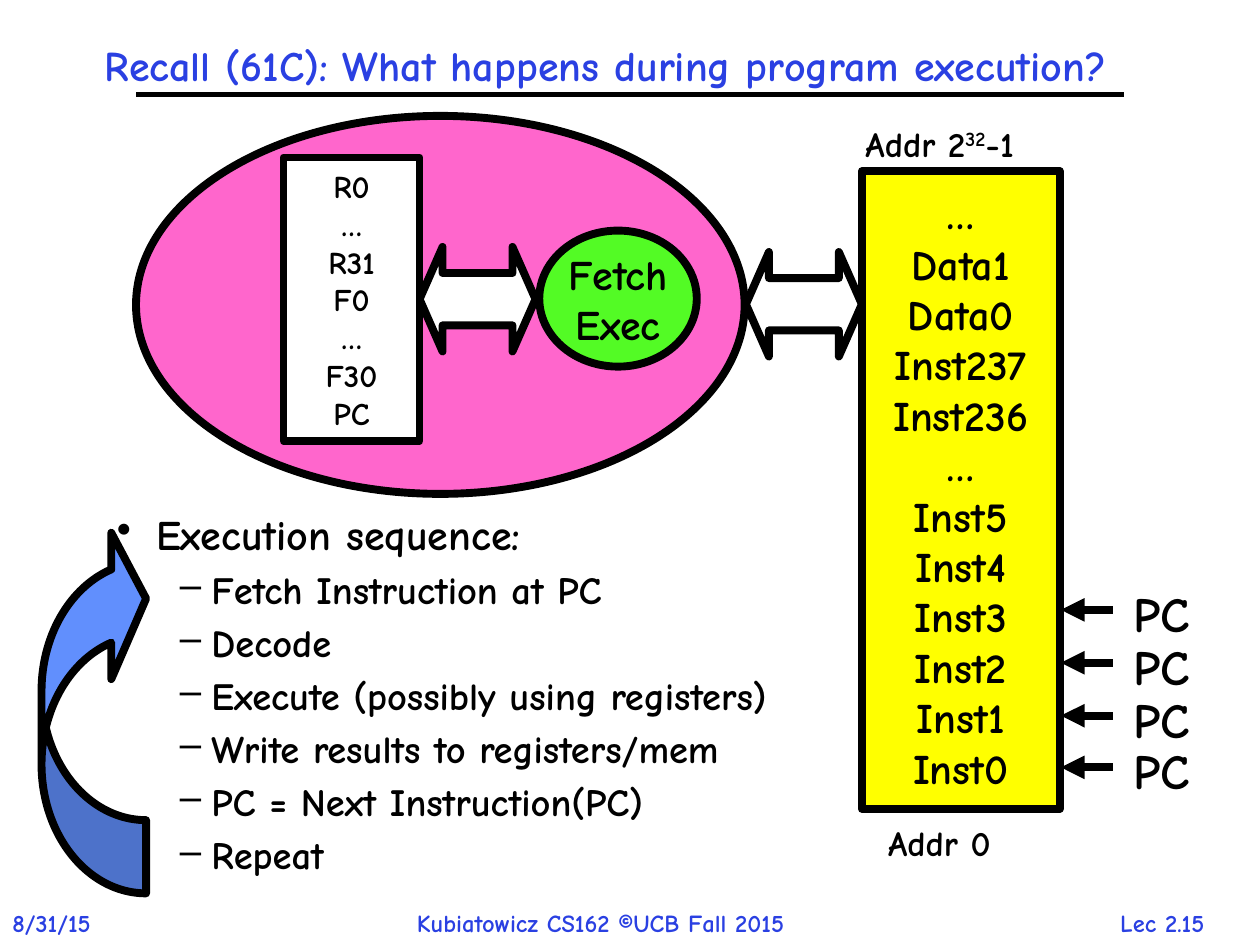
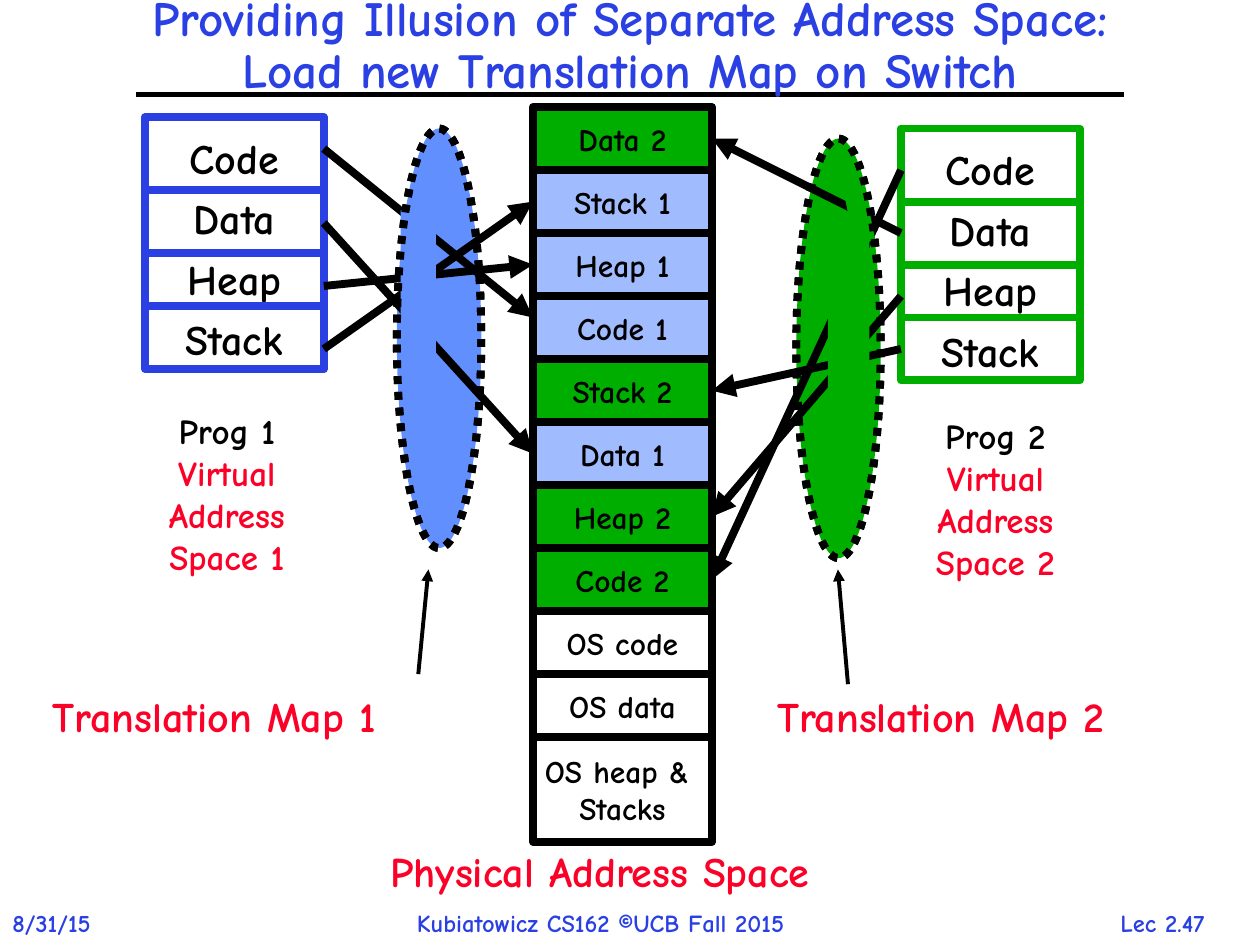
from pptx import Presentation
from pptx.dml.color import RGBColor
from pptx.enum.dml import MSO_LINE as Dash
from pptx.enum.shapes import MSO_CONNECTOR as Link, MSO_SHAPE as Form
from pptx.enum.text import MSO_ANCHOR as Anchor, MSO_AUTO_SIZE as Fit, PP_ALIGN as Align
from pptx.oxml.ns import qn
from pptx.util import Emu, Pt
from lxml.etree import SubElement as Sub

FONT = "Comic Neue"
BLACK, WHITE, BLUE, RED = "000000", "FFFFFF", "2A40E2", "FC0128"
GREEN, SKY, PALE = "00AE00", "618FFD", "A0BCFE"
PINK, LIME, YELLOW = "FF66CC", "53FB25", "FFFF00"
THICK = 4.5


def px(n):
    return Emu(n * 9144)


def rgb(code):
    return RGBColor.from_string(code)


class Deck:
    def __init__(self):
        self.file = Presentation()
        self.file.slide_width, self.file.slide_height = px(1000), px(750)
        self.slide = None

    def page(self, title, size, box, number):
        self.slide = self.file.slides.add_slide(self.file.slide_layouts[6])
        self.text((862, 716, 121, 33), f"Lec 2.{number}", 14, BLUE, Align.CENTER)
        self.text((0, 716, 100, 34), "8/31/15", 14, BLUE)
        self.line((108, 75), (892, 75), width=3, head=False)
        self.text((321, 716, 361, 34), "Kubiatowicz CS162 ©UCB Fall 2015", 14, BLUE)
        head = self.text(box, title, size, BLUE, Align.CENTER, gap=0.9, wrap=True)
        head.vertical_anchor = Anchor.MIDDLE

    def pour(self, frame, words, size, color, align, gap):
        for i, row in enumerate(words.split("\n")):
            para = frame.add_paragraph() if i else frame.paragraphs[0]
            para.alignment = align
            if gap:
                para.line_spacing = gap
            self.font(para, size, color)
            for k, part in enumerate(row.split("^")):
                if k == 0:
                    para.text = part
                    continue
                run = para.add_run()
                run.text = part
                if k % 2:
                    run.font._element.set("baseline", "30000")

    def font(self, para, size, color):
        font = para.font
        font.name, font.size, font.bold = FONT, Pt(size), True
        font.color.rgb = rgb(color)

    def text(self, box, words, size, color=BLACK, align=Align.LEFT, gap=None, wrap=False):
        frame = self.slide.shapes.add_textbox(*map(px, box)).text_frame
        frame.word_wrap = wrap
        frame.auto_size = Fit.NONE if wrap else Fit.SHAPE_TO_FIT_TEXT
        self.pour(frame, words, size, color, align, gap)
        return frame

    def bullet(self, para, mark, left, hang, size):
        para.space_before = Pt(round(size * 0.3, 1))
        self.font(para, size, BLACK)
        props = para._p.get_or_add_pPr()
        props.set("marL", str(px(left)))
        props.set("indent", str(-px(hang)))
        sign = props.makeelement(qn("a:buChar"), {"char": mark})
        props.find(qn("a:defRPr")).addprevious(sign)

    def shape(self, form, box, fill=None, edge=BLACK, words="", size=24, gap=None,
              turn=0, bends=(), dots=False):
        item = self.slide.shapes.add_shape(form, *map(px, box))
        item.shadow.inherit = False
        item.rotation = turn
        for i, bend in enumerate(bends):
            item.adjustments[i] = bend
        if fill:
            item.fill.solid()
            item.fill.fore_color.rgb = rgb(fill)
        else:
            item.fill.background()
        if edge:
            item.line.color.rgb = rgb(edge)
            item.line.width = Pt(THICK)
            if dots:
                item.line.dash_style = Dash.ROUND_DOT
        else:
            item.line.fill.background()
        if words:
            frame = item.text_frame
            frame.word_wrap = False
            frame.vertical_anchor = Anchor.MIDDLE
            self.pour(frame, words, size, BLACK, Align.CENTER, gap)
        return item

    def line(self, start, end, color=BLACK, width=THICK, head=True):
        item = self.slide.shapes.add_connector(Link.STRAIGHT, *map(px, start + end))
        item.line.color.rgb = rgb(color)
        item.line.width = Pt(width)
        props = item._element.spPr
        if head:
            Sub(props.find(qn("a:ln")), qn("a:tailEnd"), type="triangle")
        Sub(props, qn("a:effectLst"))

    def swap(self, left, top):
        self.shape(Form.LEFT_RIGHT_ARROW, (left, top, 92, 83), WHITE, bends=(0.5, 0.22))

    def lens(self, left, top, fill=None):
        self.shape(Form.OVAL, (left, top, 67, 333), fill, dots=True)

    def space(self, left, top, color):
        self.shape(Form.RECTANGLE, (left, top, 142, 200), WHITE, color,
                   "Code\nData\nHeap\nStack", gap=1.2)
        for drop in (58, 108, 150):
            self.line((left, top + drop), (left + 142, top + drop), color, head=False)

    def label(self, left, top, n):
        words = f"Prog {n}\nVirtual\nAddress\nSpace {n}"
        frame = self.text((left, top, 132, 145), words, 20, RED, Align.CENTER)
        frame.paragraphs[0].font.color.rgb = rgb(BLACK)


def run_page(deck):
    deck.page("Recall (61C): What happens during program execution?", 24, (3, 25, 955, 58), 15)
    deck.shape(Form.OVAL, (108, 92, 483, 300), PINK)
    deck.shape(Form.OVAL, (428, 183, 125, 108), LIME, words="Fetch\nExec")
    deck.swap(333, 196)
    deck.shape(Form.RECTANGLE, (225, 125, 108, 225), WHITE,
               words="R0\n…\nR31\nF0\n…\nF30\nPC", size=18)
    deck.swap(592, 200)
    cells = ["…", "Data1", "Data0", "Inst237", "Inst236", "…"]
    cells += [f"Inst{n}" for n in range(5, -1, -1)]
    deck.shape(Form.RECTANGLE, (684, 136, 157, 506), YELLOW, words="\n".join(cells))
    deck.text((695, 647, 115, 43), "Addr 0", 20)
    deck.text((677, 92, 171, 43), "Addr 2^32^-1", 20)

    steps = ["Execution sequence:", "Fetch Instruction at PC", "Decode",
             "Execute (possibly using registers)", "Write results to registers/mem",
             "PC = Next Instruction(PC)", "Repeat"]
    body = deck.text((83, 403, 625, 325), "\n".join(steps), 22, gap=0.9, wrap=True)
    first, *rest = body.paragraphs
    deck.bullet(first, "•", 31, 31, 24)
    for para in rest:
        para.level = 1
        deck.bullet(para, "–", 75, 25, 22)

    for top in (583, 542, 500, 458):
        deck.text((890, top, 65, 57), "PC", 28)
        deck.line((883, top + 26), (842, top + 26))
    loop = deck.shape(Form.CURVED_RIGHT_ARROW, (33, 417, 83, 292), SKY, bends=(0.7, 1.4, 0.333))
    loop._element.spPr.find(qn("a:xfrm")).set("flipV", "1")


def map_page(deck):
    deck.page("Providing Illusion of Separate Address Space:\vLoad new Translation Map on Switch",
              28, (0, 8, 1000, 58), 47)
    deck.lens(632, 110, GREEN)
    deck.lens(315, 102, SKY)
    deck.label(114, 320, 1)
    deck.label(724, 324, 2)
    deck.space(115, 93, BLUE)
    deck.space(715, 102, GREEN)

    names = ["Data 2", "Stack 1", "Heap 1", "Code 1", "Stack 2", "Data 1", "Heap 2",
             "Code 2", "OS code", "OS data", "OS heap & \nStacks"]
    fills = {"1": PALE, "2": GREEN}
    for i, name in enumerate(names):
        tall = 83 if "\n" in name else 50
        deck.shape(Form.RECTANGLE, (423, 85 + 50 * i, 142, tall),
                   fills.get(name[-1], WHITE), words=name, size=18)

    for start, end in ((118, 252), (177, 360), (227, 210), (277, 160)):
        deck.line((257, start), (423, end))
    for start, end in ((135, 460), (185, 110), (235, 410), (277, 310)):
        deck.line((715, start), (565, end))

    deck.shape(Form.RECTANGLE, (318, 167, 28, 150), SKY, None)
    deck.lens(315, 102)
    deck.shape(Form.RECTANGLE, (657, 185, 33, 158), GREEN, None)
    deck.shape(Form.RECTANGLE, (673, 143, 17, 50), GREEN, None, turn=348.5)
    deck.lens(632, 110)

    for n, left in ((1, 32), (2, 607)):
        deck.text((left, 543, 315, 50), f"Translation Map {n}", 24, RED)
    deck.line((332, 535), (340, 452), width=2.25)
    deck.line((673, 543), (665, 452), width=2.25)
    deck.text((300, 666, 408, 51), "Physical Address Space", 24, RED)


def main():
    deck = Deck()
    run_page(deck)
    map_page(deck)
    deck.file.save("out.pptx")


if __name__ == "__main__":
    main()
